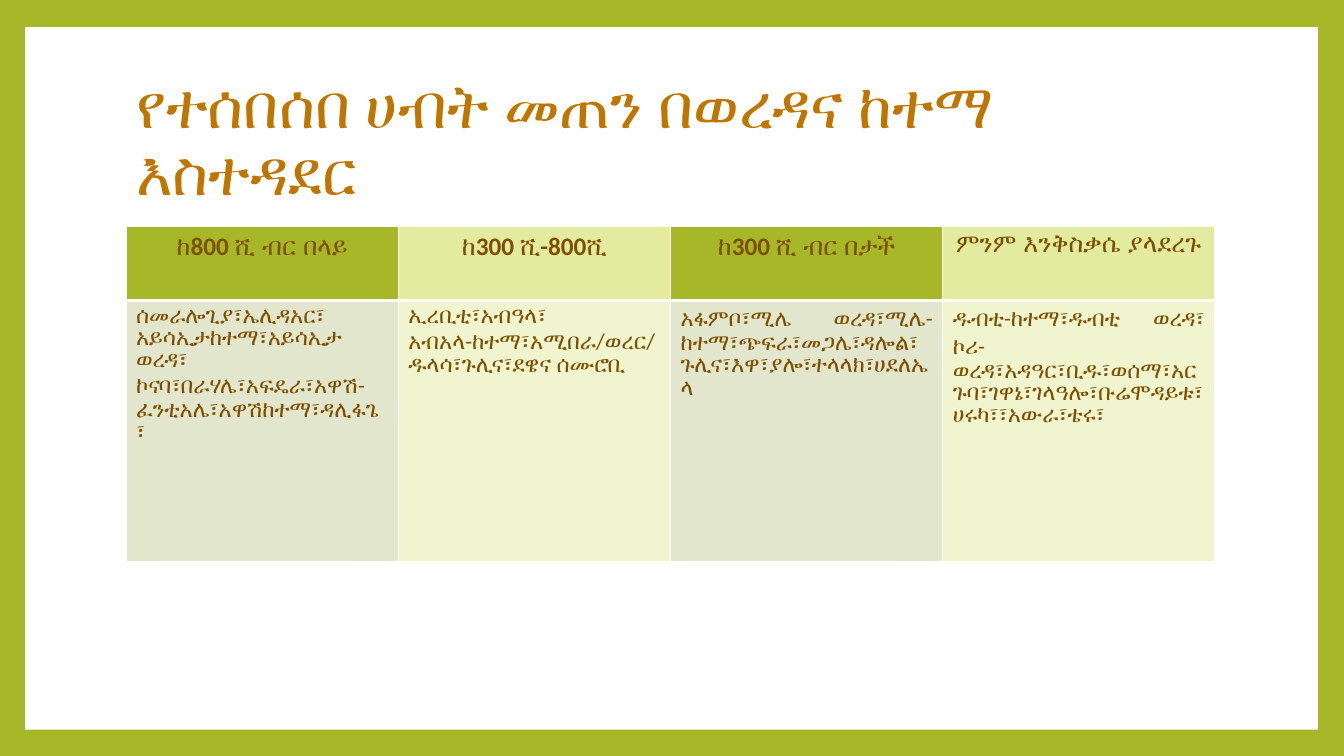
from lxml.etree import SubElement
from pptx import Presentation
from pptx.dml.color import RGBColor as Rgb
from pptx.enum.shapes import MSO_SHAPE as Shape
from pptx.enum.text import MSO_ANCHOR as Anchor, MSO_AUTO_SIZE as AutoSize, PP_ALIGN as Align
from pptx.oxml.ns import qn
from pptx.util import Pt

EMU_PER_PX = 9144
FONT = "Calibri"
COLORS = {
    "frame": "A6B727",
    "white": "FFFFFF",
    "title": "BE7600",
    "text": "7F4F00",
    "head": ("A6B727", "E2EBA0"),
    "body": ("E1E6CD", "F0F5D0"),
}
TITLE = "የተሰበሰበ ሀብት መጠን በወረዳና ከተማ እስተዳደር"
REVENUE_GROUPS = [
    ("ከ800 ሺ ብር በላይ", [
        "ሰመራሎጊያ፣ኤሊዳአር፣",
        "አይሳኢታከተማ፣አይሳኢታ ወረዳ፣",
        "ኮናባ፣በራሃሌ፣አፍዴራ፣አዋሽ-ፈንቲአሌ፣አዋሽከተማ፣ዳሊፋጌ፣"]),
    ("ከ300 ሺ-800ሺ", [
        "ኢረቢቲ፣አብዓላ፣",
        "አብአላ-ከተማ፣አሚበራ/ወረር/ ዱላሳ፣ጉሊና፣ደዌና ሰሙሮቢ"]),
    ("ከ300 ሺ ብር በታች", [
        "አፋምቦ፣ሚሌ ወረዳ፣ሚሌ-ከተማ፣ጭፍራ፣መጋሌ፣ዳሎል፣ ጉሊና፣እዋ፣ያሎ፣ተላላክ፣ሀደለኤላ"]),
    ("ምንም እንቅስቃሴ ያላደረጉ", [
        "ዱብቲ-ከተማ፣ዱብቲ ወረዳ፣ ኮሪ-ወረዳ፣አዳዓር፣ቢዱ፣ወሰማ፣አርጉባ፣ገዋኔ፣ገላዓሎ፣ቡሬሞዳይቱ፣ሀሩካ፣፣አውራ፣ቴሩ፣"]),
]


def px(length):
    return length * EMU_PER_PX


def paint(fill, color):
    fill.solid()
    fill.fore_color.rgb = Rgb.from_string(color)


def write(paragraph, text, size, color, align, bold=False):
    paragraph.alignment = align
    run = paragraph.add_run()
    run.text = text
    run.font.name, run.font.size, run.font.bold = FONT, Pt(size), bold
    run.font.color.rgb = Rgb.from_string(color)


def add_panel(slide):
    panel = slide.shapes.add_shape(Shape.RECTANGLE, px(25), px(27), px(1282), px(697))
    panel.shadow.inherit = False
    paint(panel.fill, COLORS["white"])
    panel.line.fill.background()
    slide.shapes._spTree.insert(2, panel._element)


def set_title(slide):
    title = slide.shapes.title
    title.left, title.top, title.width, title.height = map(px, (125, 67, 1080, 148))
    frame = title.text_frame
    frame.word_wrap, frame.auto_size = True, AutoSize.NONE
    frame.vertical_anchor = Anchor.MIDDLE
    frame.paragraphs[0].line_spacing = 0.9
    write(frame.paragraphs[0], TITLE, 44, COLORS["title"], Align.LEFT)


def set_borders(cell, **widths):
    for side, width in widths.items():
        line = SubElement(cell._tc.get_or_add_tcPr(), qn(f"a:ln{side}"), w=str(Pt(width)))
        SubElement(SubElement(line, qn("a:solidFill")), qn("a:srgbClr"), val=COLORS["white"])


def fill_cell(cell, lines, color, size, align, bold, top, bottom):
    set_borders(cell, L=1, R=1, T=top, B=bottom)
    paint(cell.fill, color)
    frame = cell.text_frame
    for index, line in enumerate(lines):
        paragraph = frame.add_paragraph() if index else frame.paragraphs[0]
        write(paragraph, line, size, COLORS["text"], align, bold)


def add_revenue_table(slide):
    table = slide.shapes.add_table(
        2, len(REVENUE_GROUPS), px(125), px(225), px(1080), px(332)).table
    table.horz_banding = False
    table.rows[0].height, table.rows[1].height = px(73), px(259)
    for column, (heading, districts) in enumerate(REVENUE_GROUPS):
        table.columns[column].width = px(270)
        fill_cell(table.cell(0, column), [heading], COLORS["head"][column % 2],
                  18, Align.CENTER, True, top=1, bottom=3)
        fill_cell(table.cell(1, column), districts, COLORS["body"][column % 2],
                  16, Align.JUSTIFY, False, top=3, bottom=1)


def main():
    """Build the slide of revenue collected by district and town."""
    deck = Presentation()
    deck.slide_width, deck.slide_height = px(1333), px(750)
    slide = deck.slides.add_slide(deck.slide_layouts[5])
    paint(slide.background.fill, COLORS["frame"])
    add_panel(slide)
    set_title(slide)
    add_revenue_table(slide)
    deck.save("out.pptx")


if __name__ == "__main__":
    main()
